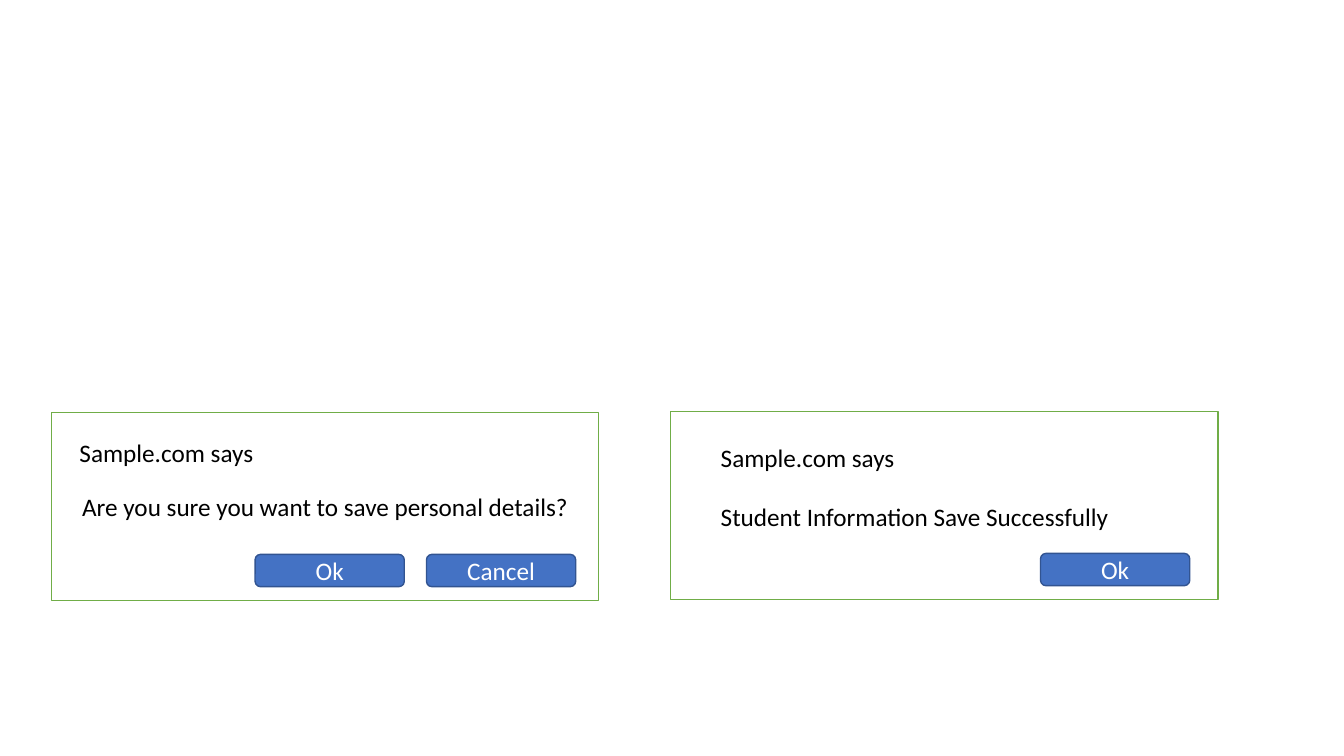
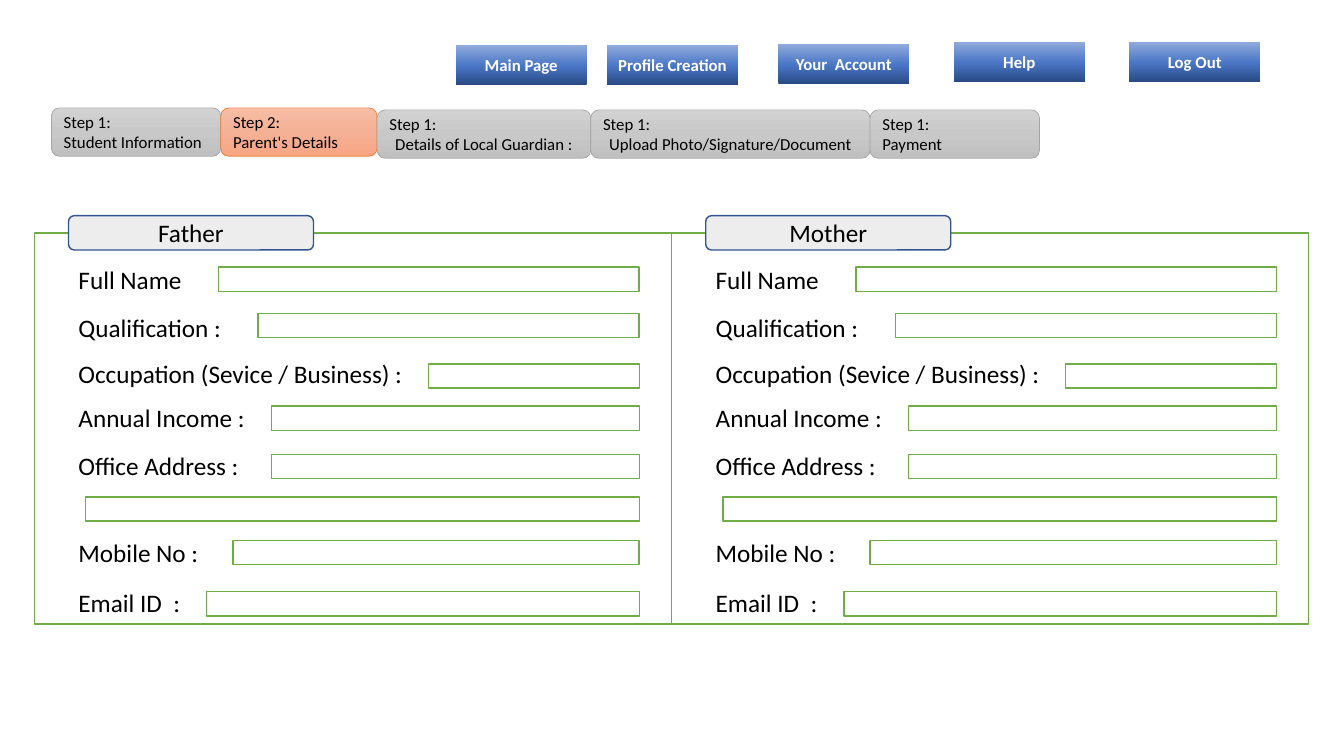
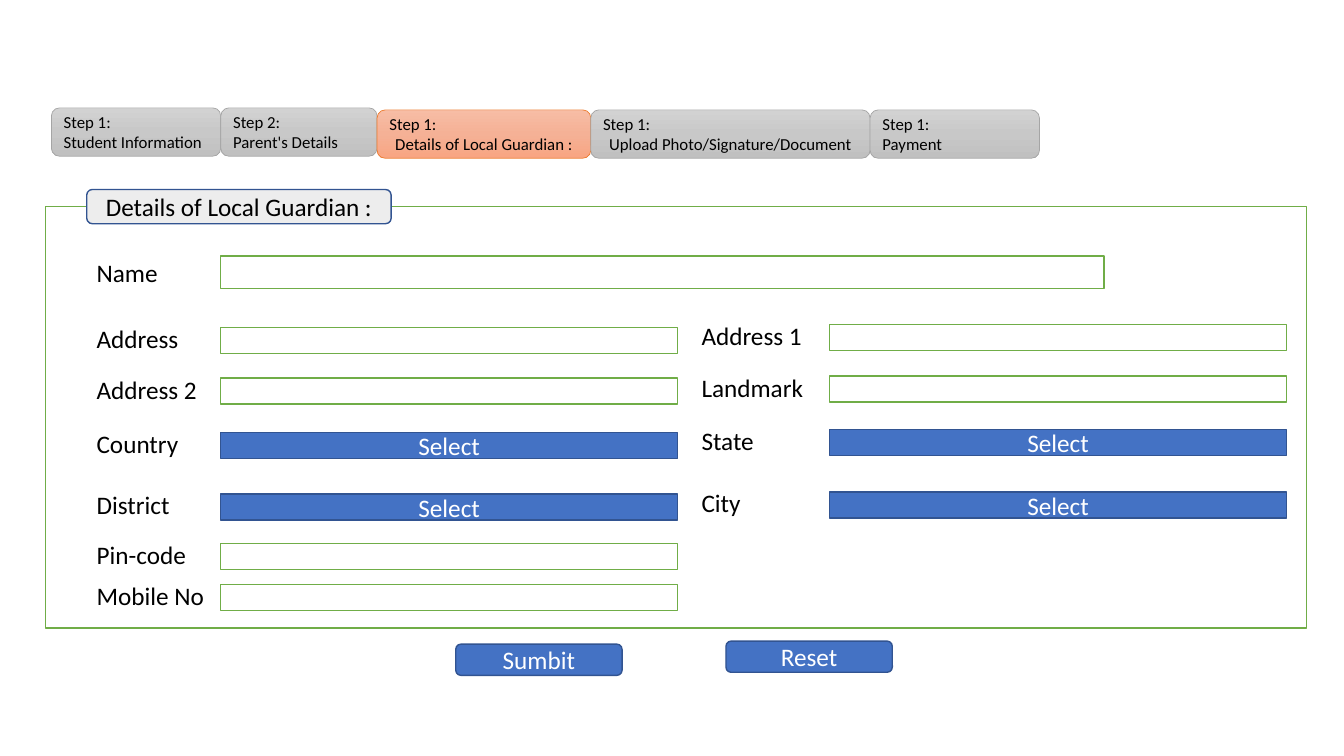
import copy

import pptx
import pptx.dml.color
import pptx.enum.shapes
import pptx.enum.text
import pptx.oxml.ns
import pptx.util

Inches = pptx.util.Inches
Pt = pptx.util.Pt
MSO_SHAPE = pptx.enum.shapes.MSO_SHAPE
PP_ALIGN = pptx.enum.text.PP_ALIGN

FONT = "Calibri"
COLORS = {
    "white": "FFFFFF",
    "black": "000000",
    "green": "70AD47",
    "blue": "4472C4",
    "navy": "325491",
    "pale": "EDEDED",
    "grey": "A5A5A5",
    "orange": "ED7D31",
}
GREY_FADE = [(0, "D2D2D2"), (0.5, "C8C8C8"), (1, "C0C0C0")]
ORANGE_FADE = [(0, "F7BDA5"), (0.5, "F5B196"), (1, "F8A582")]
BLUE_FADE = [(0, "2A4B86"), (0.48, "4A76C6"), (1, "8FAADC")]

NAV_ITEMS = [
    ("Main Page", 4.52, 0.45),
    ("Profile Creation", 6.02, 0.45),
    ("Your  Account", 7.72, 0.44),
    ("Help", 9.46, 0.42),
    ("Log Out", 11.2, 0.42),
]
STEPS = [
    ("Step 1:", "Student Information", 1.68, 1.07, PP_ALIGN.LEFT),
    ("Step 2:", "Parent's Details", 1.55, 1.07, PP_ALIGN.LEFT),
    ("Step 1:", "Details of Local Guardian :", 2.12, 1.09, PP_ALIGN.CENTER),
    ("Step 1:", "Upload Photo/Signature/Document", 2.77, 1.09, PP_ALIGN.CENTER),
    ("Step 1:", "Payment", 1.68, 1.09, PP_ALIGN.LEFT),
]
PARENT_ROWS = [
    ("Full Name", 0.26, 1.83, 0.34),
    ("Qualification :", 0.74, 2.22, 0.8),
    ("Occupation (Sevice / Business) :", 1.2, 3.91, 1.3),
    ("Annual Income :", 1.63, 2.35, 1.72),
    ("Office Address :", 2.11, 2.35, 2.2),
    (None, None, 0.51, 2.62),
    ("Mobile No :", 2.97, 1.97, 3.05),
    ("Email ID  :", 3.47, 1.71, 3.56),
]
GUARDIAN_LEFT = [
    ("Address", 1.11, False),
    ("Address 2", 1.61, False),
    ("Country", 2.15, True),
    ("District", 2.76, True),
    ("Pin-code", 3.25, False),
    ("Mobile No", 3.66, False),
]
GUARDIAN_RIGHT = [
    ("Address 1", 1.08, False),
    ("Landmark", 1.59, False),
    ("State", 2.12, True),
    ("City", 2.74, True),
]


def rgb(value):
    return pptx.dml.color.RGBColor.from_string(value)


def style_text(tf, size, color, bold=False):
    for p in tf.paragraphs:
        for r in p.runs:
            r.font.name = FONT
            r.font.size = Pt(size)
            r.font.bold = bold
            r.font.color.rgb = rgb(COLORS[color])


def add_box(s, x, y, w, h, fill, line=None, text="", color="black", size=18,
            bold=False, rounded=False, line_width=1):
    kind = MSO_SHAPE.ROUNDED_RECTANGLE if rounded else MSO_SHAPE.RECTANGLE
    sp = s.shapes.add_shape(kind, Inches(x), Inches(y), Inches(w), Inches(h))
    sp.shadow.inherit = False
    if fill:
        sp.fill.solid()
        sp.fill.fore_color.rgb = rgb(COLORS[fill])
    if line:
        sp.line.color.rgb = rgb(COLORS[line])
        sp.line.width = Pt(line_width)
    else:
        sp.line.fill.background()
    if text:
        tf = sp.text_frame
        tf.text = text
        tf.word_wrap = True
        tf.vertical_anchor = pptx.enum.text.MSO_ANCHOR.MIDDLE
        for p in tf.paragraphs:
            p.alignment = PP_ALIGN.CENTER
        style_text(tf, size, color, bold)
    return sp


def fade(sp, stops, angle):
    sp.fill.gradient()
    sp.fill.gradient_angle = angle
    gs_list = sp.element.find(".//" + pptx.oxml.ns.qn("a:gsLst"))
    gs_list.insert(1, copy.deepcopy(gs_list[0]))
    for stop, (position, value) in zip(sp.fill.gradient_stops, stops):
        stop.position = position
        stop.color.rgb = rgb(value)


def add_label(s, x, y, w, text):
    sp = s.shapes.add_textbox(Inches(x), Inches(y), Inches(w), Inches(0.4))
    tf = sp.text_frame
    tf.word_wrap = True
    tf.auto_size = pptx.enum.text.MSO_AUTO_SIZE.SHAPE_TO_FIT_TEXT
    tf.text = text
    style_text(tf, 18, "black")


def add_field(s, x, y, w, h):
    add_box(s, x, y, w, h, "white", "green")


def add_button(s, x, y, w, h, text, rounded=True):
    add_box(s, x, y, w, h, "blue", "navy", text, "white", rounded=rounded)


def add_panel(s, x, y, w, h, heading, heading_x, heading_w):
    add_box(s, x, y, w, h, "white", "green")
    add_box(s, x + heading_x, y - 0.17, heading_w, 0.34, "pale", "navy",
            heading, rounded=True)


def add_dialog(s, x, y, question, label_x, label_y, buttons):
    add_box(s, x, y, 5.43, 1.87, "white", "green", question)
    add_label(s, x + label_x, y + label_y, 4.36, "Sample.com says")
    for text, button_x in buttons:
        add_button(s, x + button_x, y + 1.41, 1.48, 0.32, text)


def add_nav(s):
    for text, x, y in NAV_ITEMS:
        sp = add_box(s, x, y, 1.3, 0.39, None, None, text, "white", 12, True)
        fade(sp, BLUE_FADE, 90)


def add_steps(s, x, active):
    for i, (step, name, w, y, align) in enumerate(STEPS):
        sp = add_box(s, x, y, w, 0.48, None,
                     "orange" if i == active else "grey",
                     step + "\n" + name, size=12, rounded=True, line_width=0.5)
        fade(sp, ORANGE_FADE if i == active else GREY_FADE, 270)
        first, second = sp.text_frame.paragraphs
        first.alignment = PP_ALIGN.LEFT
        second.alignment = align
        x += w


def add_parent_form(s, x, y, heading):
    add_panel(s, x, y, 6.32, 3.88, heading, 0.34, 2.43)
    for text, label_y, field_x, field_y in PARENT_ROWS:
        if text:
            add_label(s, x + 0.34, y + label_y, field_x - 0.34, text)
        add_field(s, x + field_x, y + field_y, 6 - field_x, 0.24)


def add_guardian_column(s, x, y, field_x, rows):
    for text, label_y, is_select in rows:
        add_label(s, x, y + label_y, field_x, text)
        field = (x + field_x, y + label_y + 0.09, 4.53, 0.26)
        if is_select:
            add_button(s, *field, "Select", rounded=False)
        else:
            add_field(s, *field)


def add_guardian_form(s, x, y):
    add_panel(s, x, y, 12.51, 4.18, "Details of Local Guardian :", 0.41, 3.02)
    add_label(s, x + 0.41, y + 0.45, 0.98, "Name")
    add_field(s, x + 1.74, y + 0.49, 8.76, 0.32)
    add_guardian_column(s, x + 0.41, y, 1.33, GUARDIAN_LEFT)
    add_guardian_column(s, x + 6.41, y, 1.37, GUARDIAN_RIGHT)
    add_button(s, x + 4.07, y + 4.34, 1.65, 0.31, "Sumbit")
    add_button(s, x + 6.75, y + 4.31, 1.65, 0.31, "Reset")


def build_dialogs(s):
    add_dialog(s, 0.51, 4.09, "Are you sure you want to save personal details?",
               0.18, 0.2, [("Ok", 2.02), ("Cancel", 3.72)])
    add_dialog(s, 6.65, 4.08, "", 0.4, 0.26, [("Ok", 3.67)])
    add_label(s, 7.05, 4.92, 4.64, "Student Information Save Successfully")


def build_parents(s):
    for i, heading in enumerate(["Father", "Mother"]):
        add_parent_form(s, 0.34 + i * 6.32, 2.31, heading)
    add_steps(s, 0.51, 1)
    add_nav(s)


def build_guardian(s):
    add_guardian_form(s, 0.45, 2.05)
    add_steps(s, 0.51, 2)


def main():
    prs = pptx.Presentation()
    prs.slide_width = Inches(13.33)
    prs.slide_height = Inches(7.5)
    for build in (build_dialogs, build_parents, build_guardian):
        build(prs.slides.add_slide(prs.slide_layouts[6]))
    prs.save("out.pptx")


if __name__ == "__main__":
    main()
